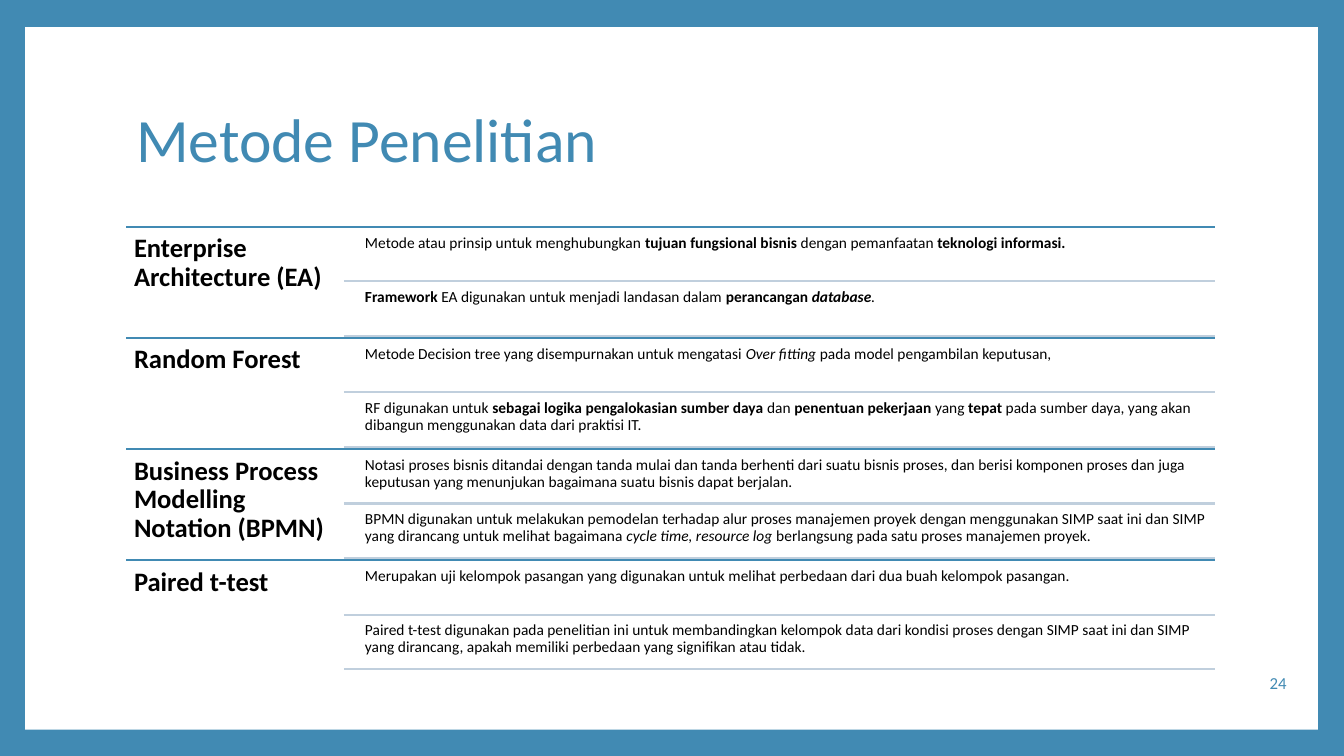
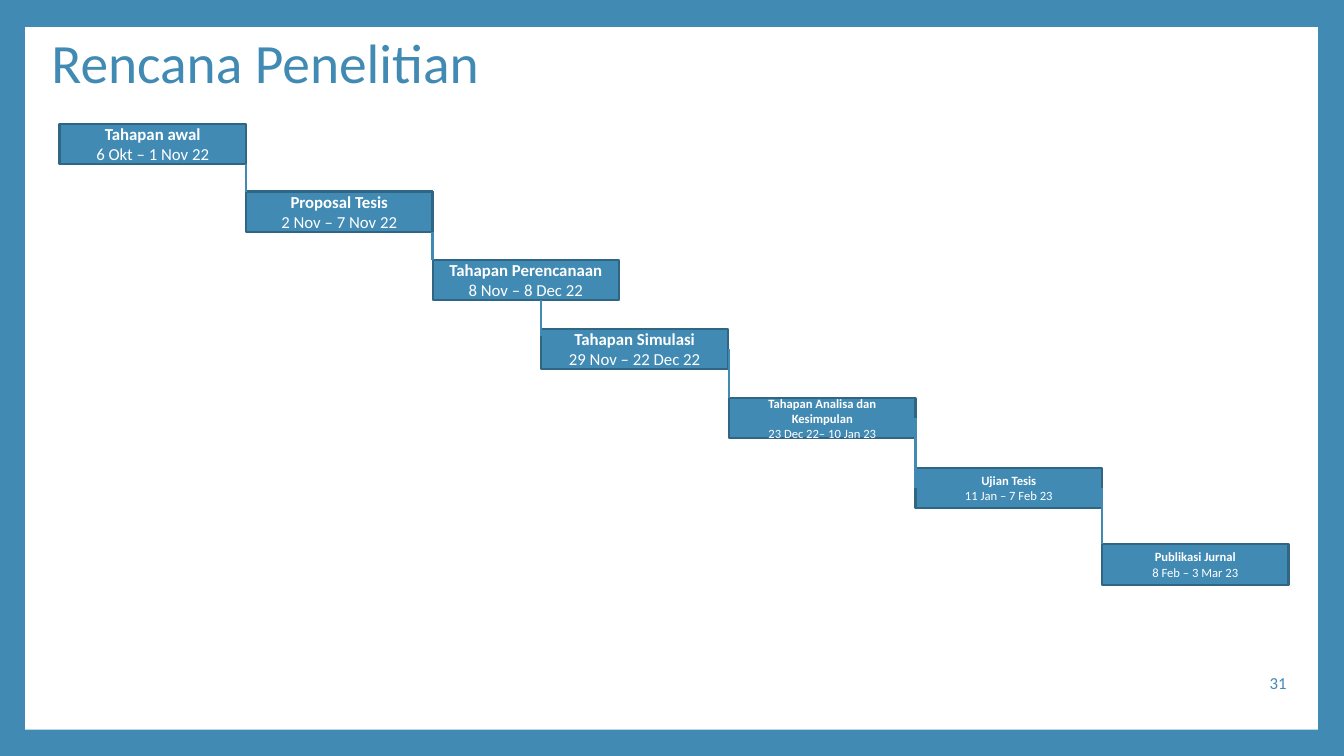
import lxml.etree
import pptx
import pptx.dml.color
import pptx.enum.shapes
import pptx.enum.text
import pptx.oxml.ns
import pptx.util

Inches = pptx.util.Inches
Pt = pptx.util.Pt
RGBColor = pptx.dml.color.RGBColor
PP_ALIGN = pptx.enum.text.PP_ALIGN
MSO_ANCHOR = pptx.enum.text.MSO_ANCHOR

BLUE = RGBColor(0x41, 0x8A, 0xB3)
DARK_BLUE = RGBColor(0x30, 0x66, 0x84)
PALE_BLUE = RGBColor(0xC0, 0xCF, 0xDD)
WHITE = RGBColor(0xFF, 0xFF, 0xFF)
BLACK = RGBColor(0x00, 0x00, 0x00)
FONT = "Calibri"

# Each method: name, then its details as runs of (text, style), "b" bold, "i" italic.
METHODS = [
    ("Enterprise Architecture (EA)", [
        [("Metode atau prinsip untuk menghubungkan ", ""),
         ("tujuan fungsional bisnis ", "b"),
         ("dengan pemanfaatan ", ""),
         ("teknologi informasi.", "b")],
        [("Framework ", "b"),
         ("EA digunakan untuk menjadi landasan dalam ", ""),
         ("perancangan ", "b"),
         ("database", "bi"),
         (".", "i")],
    ]),
    ("Random Forest", [
        [("Metode Decision tree yang disempurnakan untuk mengatasi ", ""),
         ("Over fitting", "i"),
         (" pada model pengambilan keputusan,", "")],
        [("RF digunakan untuk ", ""),
         ("sebagai logika pengalokasian sumber daya ", "b"),
         ("dan ", ""),
         ("penentuan pekerjaan ", "b"),
         ("yang ", ""),
         ("tepat ", "b"),
         ("pada sumber daya, yang akan dibangun menggunakan data dari "
          "praktisi IT.", "")],
    ]),
    ("Business Process Modelling Notation (BPMN)", [
        [("Notasi proses bisnis ditandai dengan tanda mulai dan tanda berhenti "
          "dari suatu bisnis proses, dan berisi komponen proses dan juga "
          "keputusan yang menunjukan bagaimana suatu bisnis dapat berjalan.", "")],
        [("BPMN digunakan untuk melakukan pemodelan terhadap alur proses "
          "manajemen proyek dengan menggunakan SIMP saat ini dan SIMP yang "
          "dirancang untuk melihat bagaimana ", ""),
         ("cycle time, resource log ", "i"),
         ("berlangsung pada satu proses manajemen proyek.", "")],
    ]),
    ("Paired t-test", [
        [("Merupakan uji kelompok pasangan yang digunakan untuk melihat "
          "perbedaan dari dua buah kelompok pasangan.", "")],
        [("Paired t-test digunakan pada penelitian ini untuk membandingkan "
          "kelompok data dari kondisi proses dengan SIMP saat ini dan SIMP yang "
          "dirancang, apakah memiliki perbedaan yang signifikan atau tidak.", "")],
    ]),
]

# Left, top, font size, stage, dates.
STAGES = [
    (0.59, 1.23, 12, "Tahapan awal", "6 Okt – 1 Nov 22"),
    (2.44, 1.9, 12, "Proposal Tesis", "2 Nov – 7 Nov 22"),
    (4.29, 2.58, 12, "Tahapan Perencanaan", "8 Nov – 8 Dec 22"),
    (5.37, 3.26, 12, "Tahapan Simulasi", "29 Nov – 22 Dec 22"),
    (7.23, 3.95, 9, "Tahapan Analisa dan Kesimpulan", "23 Dec 22– 10 Jan 23"),
    (9.08, 4.64, 9, "Ujian Tesis", "11 Jan – 7 Feb 23"),
    (10.93, 5.4, 9, "Publikasi Jurnal", "8 Feb – 3 Mar 23"),
]
STAGE_W, STAGE_H = 1.85, 0.4
# Start below the top of one stage, end below the top of the next, line width.
LINKS = [(0.4, 0, 1), (0.4, 0, 1.5), (0.4, 0.07, 1.5),
         (0.2, 0, 1.5), (0.2, 0.2, 1.5), (0.2, 0, 1.5)]


class Deck:
    """Holds the shared style and the slide being filled."""

    def __init__(self):
        self.prs = pptx.Presentation()
        self.prs.slide_width, self.prs.slide_height = Inches(13.33), Inches(7.5)
        fill = self.prs.slide_master.background.fill
        fill.solid()
        fill.fore_color.rgb = BLUE
        self.s = None

    def slide(self, title, number, box, size):
        self.s = self.prs.slides.add_slide(self.prs.slide_layouts[5])
        if len(self.prs.slides) == 1:
            self.add_master_panel()
        sp = self.s.shapes.title
        sp.left, sp.top, sp.width, sp.height = map(Inches, box)
        sp.text_frame.text = title
        self.format(sp, size, BLUE, anchor=MSO_ANCHOR.MIDDLE, spacing=0.9)
        self.text([(str(number), "")], (12.42, 6.57, 0.44, 0.4), 12, BLUE,
                  align=PP_ALIGN.RIGHT, anchor=MSO_ANCHOR.MIDDLE)

    def add_master_panel(self):
        """Draws the white panel and moves it to the back of the master."""
        sp = self.box(0.25, 0.27, 12.82, 6.97, WHITE)
        first = next(iter(self.prs.slide_master.placeholders))
        first.element.addprevious(sp.element)

    def format(self, sp, size, color, align=PP_ALIGN.LEFT,
               anchor=MSO_ANCHOR.TOP, spacing=1.0):
        tf = sp.text_frame
        tf.word_wrap = True
        tf.auto_size = pptx.enum.text.MSO_AUTO_SIZE.NONE
        tf.vertical_anchor = anchor
        for p in tf.paragraphs:
            p.alignment, p.line_spacing = align, spacing
            for r in p.runs:
                r.font.name, r.font.size = FONT, Pt(size)
                r.font.color.rgb = color

    def text(self, runs, box, size, color, inset=None, **layout):
        sp = self.s.shapes.add_textbox(*map(Inches, box))
        tf = sp.text_frame
        if inset is not None:
            tf.margin_left = tf.margin_right = Inches(inset)
            tf.margin_top = tf.margin_bottom = Inches(inset)
        for words, style in runs:
            r = tf.paragraphs[0].add_run()
            r.text = words
            r.font.bold, r.font.italic = "b" in style, "i" in style
        self.format(sp, size, color, **layout)

    def box(self, left, top, width, height, color, border=None):
        sp = self.s.shapes.add_shape(
            pptx.enum.shapes.MSO_SHAPE.RECTANGLE,
            Inches(left), Inches(top), Inches(width), Inches(height))
        sp.shadow.inherit = False
        sp.fill.solid()
        sp.fill.fore_color.rgb = color
        if border is None:
            sp.line.fill.background()
        else:
            sp.line.color.rgb, sp.line.width = border, Pt(1.5)
        return sp

    def stage(self, left, top, size, name, dates):
        sp = self.box(left, top, STAGE_W, STAGE_H, BLUE, DARK_BLUE)
        sp.text_frame.text = f"{name}\n{dates}"
        self.format(sp, size, WHITE, PP_ALIGN.CENTER, MSO_ANCHOR.MIDDLE)
        sp.text_frame.paragraphs[0].runs[0].font.bold = True

    def line(self, x1, y1, x2, y2, color, width=1.5):
        sp = self.s.shapes.add_connector(
            pptx.enum.shapes.MSO_CONNECTOR.STRAIGHT,
            Inches(x1), Inches(y1), Inches(x2), Inches(y2))
        sp.line.color.rgb, sp.line.width = color, Pt(width)
        lxml.etree.SubElement(sp.element.spPr, pptx.oxml.ns.qn("a:effectLst"))


def methods_slide(deck):
    deck.slide("Metode Penelitian", 24, (1.25, 0.67, 10.8, 1.48), 44)
    left, right, top, height = 1.25, 12.05, 2.25, 4.41 / len(METHODS)
    name_w, indent, detail_h = 2.16, 0.16, 0.54
    for i, (name, details) in enumerate(METHODS):
        y = top + i * height
        deck.line(left, y, right, y, BLUE)
        deck.text([(name, "b")], (left, y, name_w, height), 19, BLACK,
                  inset=0.08, spacing=0.9)
        x = left + name_w
        for j, runs in enumerate(details):
            detail_y = y + j * detail_h
            deck.text(runs, (x + indent, detail_y + 0.03, right - x - indent, 0.51),
                      11, BLACK, inset=0.05, spacing=0.9)
            deck.line(x, detail_y + detail_h, right, detail_y + detail_h, PALE_BLUE)


def plan_slide(deck):
    deck.slide("Rencana Penelitian", 31, (0.41, 0.35, 10.8, 0.6), 39.6)
    for stage in STAGES:
        deck.stage(*stage)
    for stage, following, (start, end, width) in zip(STAGES, STAGES[1:], LINKS):
        x = following[0]
        deck.line(x, stage[1] + start, x, following[1] + end, BLUE, width)


def main():
    deck = Deck()
    methods_slide(deck)
    plan_slide(deck)
    deck.prs.save("out.pptx")


if __name__ == "__main__":
    main()
